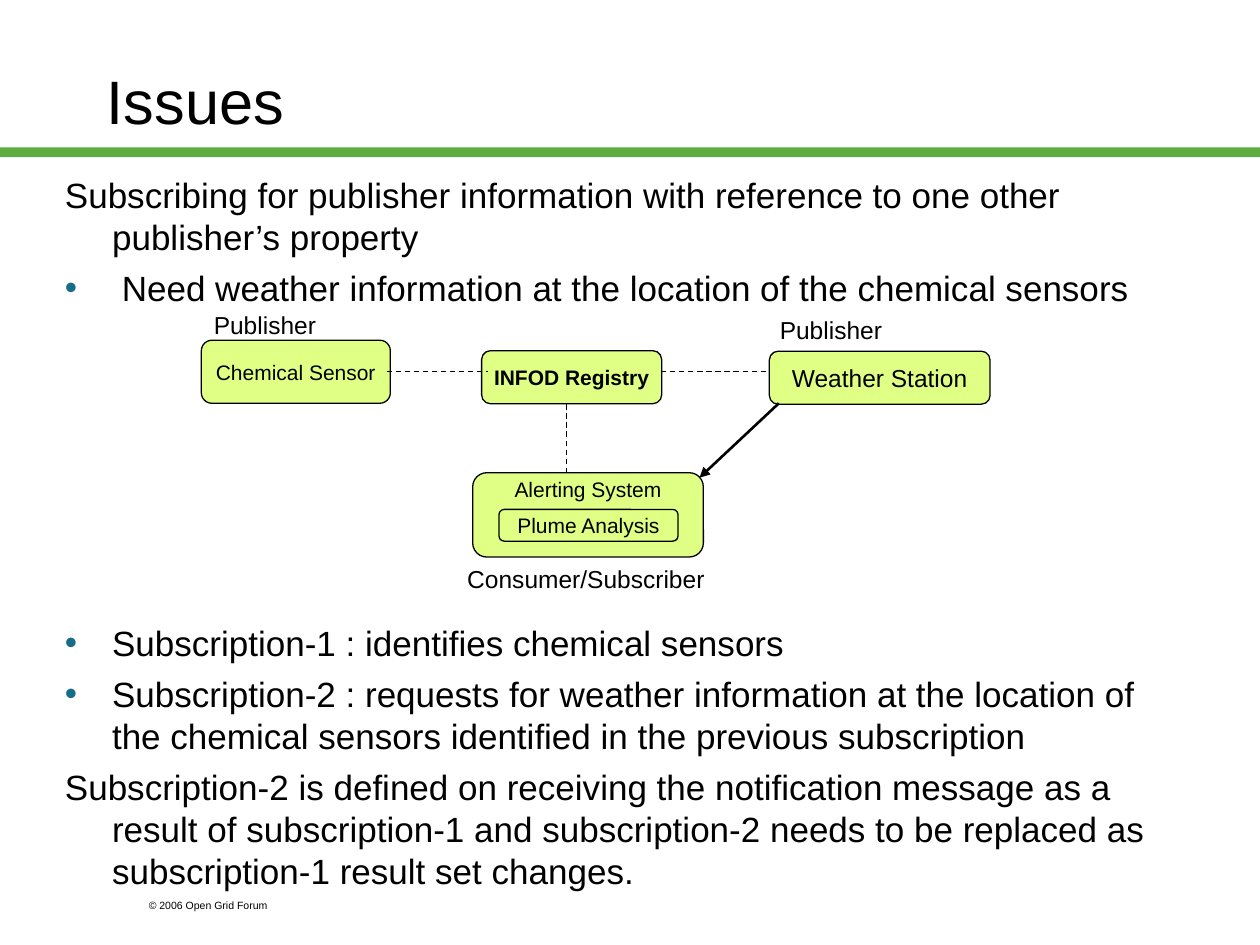
from lxml import etree
from pptx import Presentation
from pptx.dml.color import RGBColor
from pptx.enum.dml import MSO_LINE
from pptx.enum.shapes import MSO_CONNECTOR, MSO_SHAPE
from pptx.enum.text import MSO_ANCHOR, MSO_AUTO_SIZE, PP_ALIGN
from pptx.oxml.ns import qn
from pptx.util import Cm, Pt

RECTANGLE, ROUNDED = MSO_SHAPE.RECTANGLE, MSO_SHAPE.ROUNDED_RECTANGLE
STRAIGHT, DASH = MSO_CONNECTOR.STRAIGHT, MSO_LINE.DASH
TOP, MIDDLE = MSO_ANCHOR.TOP, MSO_ANCHOR.MIDDLE
LEFT, CENTER = PP_ALIGN.LEFT, PP_ALIGN.CENTER
FONT = "Arial"
BLACK, GREEN, LIME, TEAL = "000000", "5DAD41", "DFFF85", "176D89"
HANGING = Cm(0.95)
DIAGRAM_GAP = 179  # points left free in the body for the diagram

TITLE = "Issues"
# text, bulleted, space before in points
BODY = [
    ("Subscribing for publisher information with reference to one other "
     "publisher’s property", False, 0),
    (" Need weather information at the location of the chemical sensors", True, 5),
    ("Subscription-1 : identifies chemical sensors", True, DIAGRAM_GAP),
    ("Subscription-2 : requests for weather information at the location of "
     "the chemical sensors identified in the previous subscription", True, 5),
    ("Subscription-2 is defined on receiving the notification message as a "
     "result of subscription-1 and subscription-2 needs to be replaced as "
     "subscription-1 result set changes.", False, 5),
]
# text, (left, top, width, height) in cm, size, bold, anchor
NODES = [
    ("Weather Station", (15.51, 7.08, 4.45, 1.07), 14, False, MIDDLE),
    ("Chemical Sensor", (4.06, 6.86, 3.81, 1.27), 12, False, MIDDLE),
    ("INFOD Registry", (9.71, 7.07, 3.63, 1.07), 12, True, MIDDLE),
    ("Alerting System", (9.53, 9.53, 4.65, 1.7), 12, False, TOP),
    ("Plume Analysis", (10.06, 10.27, 3.61, 0.64), 12, False, MIDDLE),
]
# text, box in cm, size
LABELS = [
    ("Publisher", (15.47, 6.22, 2.74, 0.86), 14),
    ("Publisher", (4.06, 6.12, 2.97, 0.86), 14),
    ("Consumer/Subscriber", (9.17, 11.24, 5.33, 0.86), 14),
    ("© 2006 Open Grid Forum", (2.75, 17.99, 3.81, 0.51), 6),
]
# from x, from y, to x, to y in cm
DASHED_LINKS = [
    (13.33, 7.49, 15.47, 7.49),
    (7.8, 7.49, 9.83, 7.49),
    (11.42, 9.53, 11.42, 8.13),
]
ARROW = (15.7, 8.13, 14.1, 9.63)


def color(value):
    return RGBColor.from_string(value)


def lengths(values):
    return [Cm(value) for value in values]


def format_font(paragraph, size, bold=False):
    font = paragraph.font
    font.name, font.size, font.bold = FONT, Pt(size), bold
    font.color.rgb = color(BLACK)


def add_bar(slide):
    bar = slide.shapes.add_shape(RECTANGLE, *lengths((0, 2.97, 25.4, 0.2)))
    bar.shadow.inherit = False
    bar.fill.solid()
    bar.fill.fore_color.rgb = color(GREEN)
    bar.line.fill.background()


def format_title(title):
    title.left, title.top, title.width, title.height = lengths((1.9, 0.43, 21.59, 3.18))
    frame = title.text_frame
    frame.text = TITLE
    frame.auto_size = MSO_AUTO_SIZE.NONE
    frame.vertical_anchor = MIDDLE
    frame.paragraphs[0].alignment = LEFT
    format_font(frame.paragraphs[0], 35)


def set_hanging_indent(paragraph, bulleted):
    properties = paragraph._p.get_or_add_pPr()
    properties.set("marL", str(HANGING))
    properties.set("indent", str(-HANGING))
    if bulleted:
        bullet_color = etree.SubElement(properties, qn("a:buClr"))
        etree.SubElement(bullet_color, qn("a:srgbClr"), val=TEAL)
        etree.SubElement(properties, qn("a:buFont"), typeface=FONT)
        etree.SubElement(properties, qn("a:buChar"), char="•")
    else:
        etree.SubElement(properties, qn("a:buNone"))


def add_body(slide):
    frame = slide.shapes.add_textbox(*lengths((1.06, 3.38, 22.83, 15.09))).text_frame
    frame.word_wrap = True
    for index, (text, bulleted, space_before) in enumerate(BODY):
        paragraph = frame.add_paragraph() if index else frame.paragraphs[0]
        paragraph.text = text
        set_hanging_indent(paragraph, bulleted)
        paragraph.space_before = Pt(space_before)
        format_font(paragraph, 20)


def add_node(slide, text, box, size, bold, anchor):
    node = slide.shapes.add_shape(ROUNDED, *lengths(box))
    node.shadow.inherit = False
    node.fill.solid()
    node.fill.fore_color.rgb = color(LIME)
    node.line.color.rgb = color(BLACK)
    node.line.width = Pt(0.75)
    frame = node.text_frame
    frame.text = text
    frame.word_wrap = False
    frame.vertical_anchor = anchor
    if anchor == TOP:
        frame.margin_top = 0
    frame.paragraphs[0].alignment = CENTER
    format_font(frame.paragraphs[0], size, bold)


def add_label(slide, text, box, size):
    frame = slide.shapes.add_textbox(*lengths(box)).text_frame
    frame.text = text
    frame.word_wrap = True
    format_font(frame.paragraphs[0], size)


def add_link(slide, ends, width):
    link = slide.shapes.add_connector(STRAIGHT, *lengths(ends))
    link.line.color.rgb = color(BLACK)
    link.line.width = Pt(width)
    etree.SubElement(link._element.spPr, qn("a:effectLst"))
    return link


def main():
    presentation = Presentation()
    presentation.slide_width, presentation.slide_height = Cm(25.4), Cm(19.05)
    slide = presentation.slides.add_slide(presentation.slide_layouts[5])
    add_bar(slide)
    format_title(slide.shapes.title)
    add_body(slide)
    for node in NODES:
        add_node(slide, *node)
    for label in LABELS:
        add_label(slide, *label)
    for ends in DASHED_LINKS:
        add_link(slide, ends, 0.75).line.dash_style = DASH
    arrow = add_link(slide, ARROW, 1.5)
    etree.SubElement(arrow.line._get_or_add_ln(), qn("a:tailEnd"), type="triangle")
    presentation.save("out.pptx")


if __name__ == "__main__":
    main()
